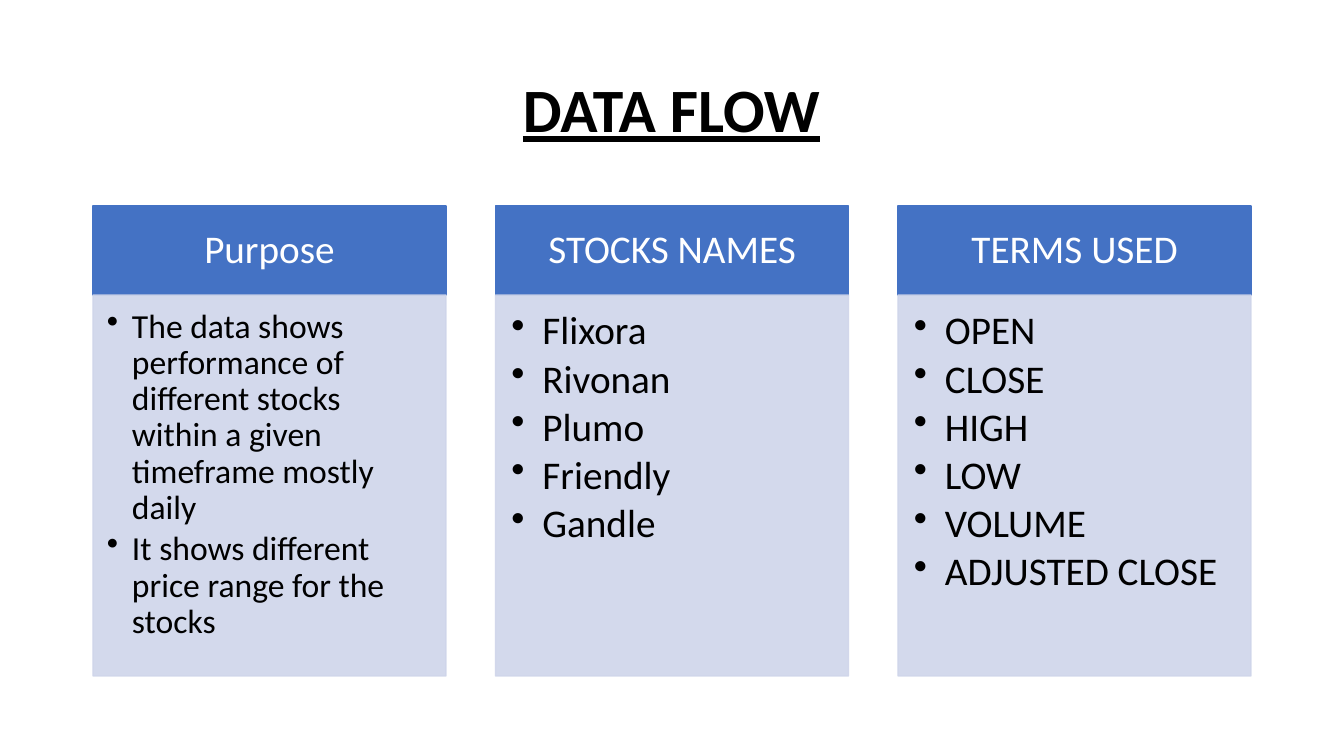
from lxml.etree import SubElement
from pptx import Presentation
from pptx.dml.color import RGBColor
from pptx.enum.shapes import MSO_SHAPE
from pptx.enum.text import MSO_ANCHOR as ANCHOR, MSO_AUTO_SIZE as AUTO_SIZE, PP_ALIGN as ALIGN
from pptx.oxml.ns import qn
from pptx.util import Pt

EMU_PER_PX = 914400 / 100.8
COLUMN_WIDTH = 353
HEADER_HEIGHT = 89

COLUMNS = [
    ("Purpose", 24, 25, (14, 14, 19, 21), [
        "The data shows performance of different stocks within a given timeframe mostly daily",
        "It shows different price range for the stocks",
    ]),
    ("STOCKS NAMES", 28, 31, (16, 16, 22, 24),
     ["Flixora", "Rivonan", "Plumo", "Friendly", "Gandle"]),
    ("TERMS USED", 28, 31, (16, 16, 22, 24),
     ["OPEN", "CLOSE", "HIGH", "LOW", "VOLUME", "ADJUSTED CLOSE"]),
]


def px(length):
    return round(length * EMU_PER_PX)


def color(value):
    return RGBColor.from_string(value)


def apply(target, values):
    for name, value in values.items():
        setattr(target, name, value)


def set_margins(frame, margins):
    sides = ("margin_left", "margin_top", "margin_right", "margin_bottom")
    apply(frame, dict(zip(sides, map(px, margins))))


def write(paragraph, text, size, text_color, align, **style):
    apply(paragraph, {"alignment": align, "line_spacing": 0.9})
    run = paragraph.add_run()
    run.text = text
    apply(run.font, {"name": "Calibri", "size": Pt(size), **style})
    run.font.color.rgb = color(text_color)


def space_after(paragraph, percent):
    spacing = SubElement(paragraph._p.get_or_add_pPr(), qn("a:spcAft"))
    SubElement(spacing, qn("a:spcPct"), val=str(percent * 1000))


def add_bullet(paragraph, indent):
    properties = paragraph._p.get_or_add_pPr()
    properties.set("marL", str(px(indent)))
    properties.set("indent", str(-px(indent)))
    SubElement(properties, qn("a:buChar"), char="•")


def add_panel(slide, box, fill, margins, anchor, opacity=100):
    panel = slide.shapes.add_shape(MSO_SHAPE.RECTANGLE, *map(px, box))
    panel.shadow.inherit = False
    panel.line.width = Pt(1)
    for paint in (panel.fill, panel.line.fill):
        paint.solid()
        paint.fore_color.rgb = color(fill)
    if opacity < 100:
        for tint in panel._element.spPr.iter(qn("a:srgbClr")):
            SubElement(tint, qn("a:alpha"), val=str(opacity * 1000))
    frame = panel.text_frame
    apply(frame, {"word_wrap": True, "vertical_anchor": anchor})
    set_margins(frame, margins)
    return frame


def add_title(slide, box, text):
    title = slide.shapes.title
    apply(title, dict(zip(("left", "top", "width", "height"), map(px, box))))
    frame = title.text_frame
    apply(frame, {"vertical_anchor": ANCHOR.MIDDLE, "word_wrap": True,
                  "auto_size": AUTO_SIZE.NONE})
    write(frame.paragraphs[0], text, 44, "000000", ALIGN.CENTER, bold=True, underline=True)


def add_column(slide, box, heading, size, indent, margins, items):
    left, top, width, height = box
    header = add_panel(slide, (left, top, width, HEADER_HEIGHT), "4472C4",
                       (22, 12, 22, 12), ANCHOR.MIDDLE)
    write(header.paragraphs[0], heading, 28, "FFFFFF", ALIGN.CENTER)
    space_after(header.paragraphs[0], 35)
    body = add_panel(slide, (left, top + HEADER_HEIGHT, width, height - HEADER_HEIGHT),
                     "CFD5EA", margins, ANCHOR.TOP, opacity=90)
    for index, item in enumerate(items):
        paragraph = body.add_paragraph() if index else body.paragraphs[0]
        write(paragraph, item, size, "000000", ALIGN.LEFT)
        space_after(paragraph, 15)
        add_bullet(paragraph, indent)


def add_columns(slide, box):
    left, top, width, height = box
    pitch = (width - COLUMN_WIDTH) / (len(COLUMNS) - 1)
    for index, column in enumerate(COLUMNS):
        add_column(slide, (left + index * pitch, top, COLUMN_WIDTH, height), *column)


def main():
    deck = Presentation()
    apply(deck, {"slide_width": px(1344), "slide_height": px(756)})
    slide = deck.slides.add_slide(deck.slide_layouts[5])
    add_title(slide, (92, 40, 1159, 146), "DATA FLOW")
    add_columns(slide, (93, 206, 1158, 470))
    deck.save("out.pptx")


if __name__ == "__main__":
    main()
